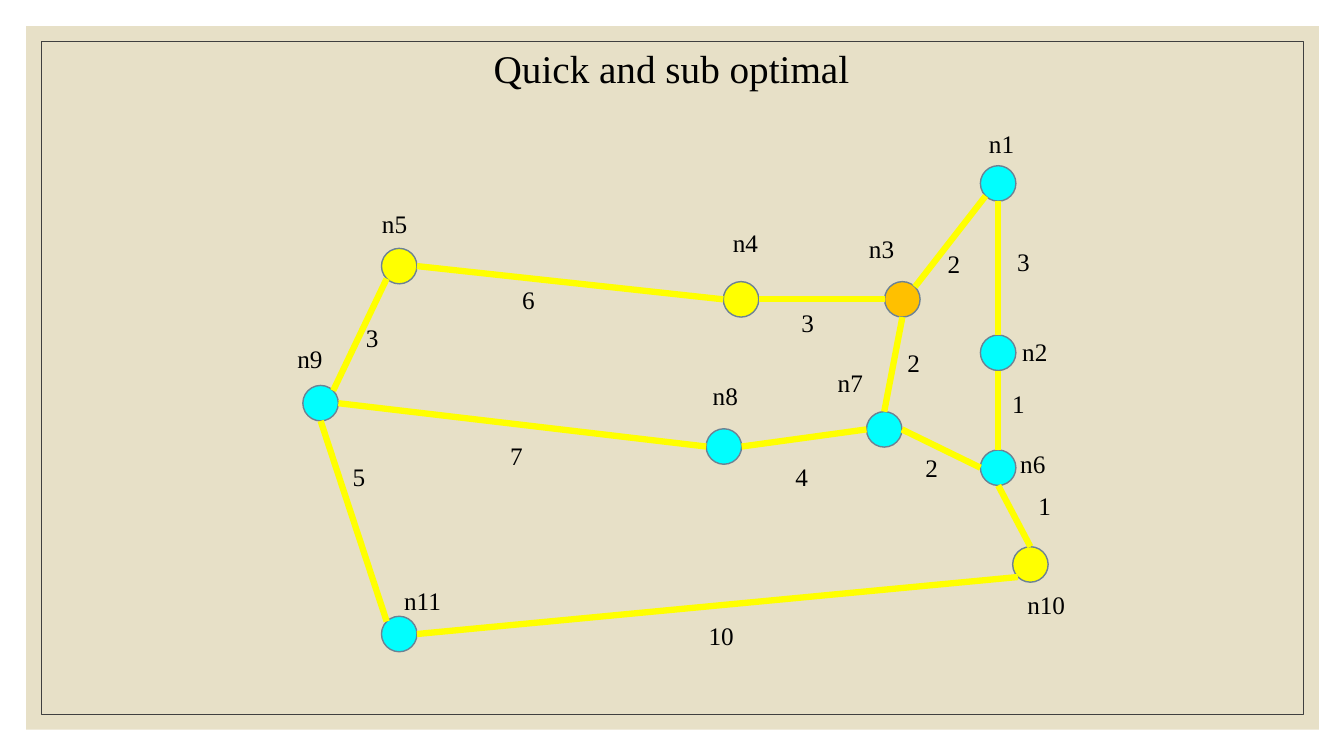
from math import sqrt

from lxml.etree import SubElement
from pptx import Presentation
from pptx.dml.color import RGBColor
from pptx.enum.shapes import MSO_CONNECTOR as Connector, MSO_SHAPE as Shape
from pptx.enum.text import MSO_ANCHOR as Anchor, PP_ALIGN as Align
from pptx.oxml.ns import qn
from pptx.util import Inches, Pt

FONT = "Times New Roman"
BLACK = RGBColor(0x00, 0x00, 0x00)
SAND = RGBColor(0xE7, 0xE0, 0xC7)
FRAME = RGBColor(0x40, 0x40, 0x40)
OUTLINE = RGBColor(0x6C, 0x82, 0x94)
CYAN = RGBColor(0x01, 0xFE, 0xFE)
YELLOW = RGBColor(0xFF, 0xFF, 0x00)
ORANGE = RGBColor(0xFF, 0xC0, 0x00)

# Grid: square cells, boxes are (column, row, columns, rows)
CELL = Inches(0.1)
PANEL_BOX = (2.6, 2.6, 128.2, 69.8)
TITLE_BOX = (42.1, 3.9, 49, 5.7)
GRAPH_BOX = (28, 12, 79, 54)
FRAME_INSET = 1.5
RADIUS = 1.76
LABEL_HEIGHT = 4

# Node: centre, fill, label corner, all in cells from the graph corner
NODES = {
    "n1": ((71, 6.2), CYAN, (69.1, 0.2)),
    "n2": ((71, 23), CYAN, (72.4, 20.9)),
    "n3": ((61.5, 17.7), ORANGE, (57.2, 10.7)),
    "n4": ((45.5, 17.7), YELLOW, (43.7, 10.1)),
    "n5": ((11.6, 14.4), YELLOW, (8.9, 8.2)),
    "n6": ((71, 34.4), CYAN, (72.2, 32)),
    "n7": ((59.7, 30.6), CYAN, (54.1, 23.9)),
    "n8": ((43.8, 32.3), CYAN, (41.7, 25.2)),
    "n9": ((3.8, 28), CYAN, (0.5, 21.6)),
    "n10": ((74.2, 44), YELLOW, (72.9, 46)),
    "n11": ((11.6, 50.9), CYAN, (11.1, 45.6)),
}

# Edge: node and side at each end, weight, weight corner
EDGES = [
    ("n1", "SW", "n3", "NE", "2", (65, 12.1)),
    ("n1", "S", "n2", "N", "3", (71.9, 11.9)),
    ("n10", "N", "n6", "S", "1", (74, 36.2)),
    ("n3", "W", "n4", "E", "3", (50.5, 18)),
    ("n4", "W", "n5", "E", "6", (22.8, 15.7)),
    ("n5", "SW", "n9", "NE", "3", (7.3, 19.5)),
    ("n9", "E", "n8", "W", "7", (21.6, 31.2)),
    ("n9", "S", "n11", "NW", "5", (6, 33.3)),
    ("n7", "N", "n3", "S", "2", (61, 22)),
    ("n8", "E", "n7", "W", "4", (49.9, 33.3)),
    ("n6", "W", "n7", "E", "2", (62.8, 32.4)),
    ("n2", "S", "n6", "N", "1", (71.4, 26)),
    ("n10", "SW", "n11", "E", "10", (41.3, 49.1)),
]


def cells(*counts):
    return [round(count * CELL) for count in counts]


def write_text(shape, text, size=18, align=Align.LEFT, color=BLACK):
    frame = shape.text_frame
    frame.word_wrap = True
    frame.vertical_anchor = Anchor.TOP
    paragraph = frame.paragraphs[0]
    paragraph.text = text
    paragraph.alignment = align
    paragraph.font.name = FONT
    paragraph.font.size = Pt(size)
    paragraph.font.color.rgb = color
    return frame


def add_figure(slide, kind, box, fill=None, line=None, width=1):
    shape = slide.shapes.add_shape(kind, *cells(*box))
    shape.shadow.inherit = False
    if fill is None:
        shape.fill.background()
    else:
        shape.fill.solid()
        shape.fill.fore_color.rgb = fill
    if line is None:
        shape.line.fill.background()
    else:
        shape.line.color.rgb = line
        shape.line.width = Pt(width)


def add_label(slide, text, column, row):
    width = 5.8 if len(text) == 3 else 4.5
    label = slide.shapes.add_textbox(*cells(column, row, width, LABEL_HEIGHT))
    write_text(label, text).margin_right = 0


def add_panel(slide, box):
    left, top, width, height = box
    add_figure(slide, Shape.RECTANGLE, box, fill=SAND)
    inner = (left + FRAME_INSET, top + FRAME_INSET,
             width - 2 * FRAME_INSET, height - 2 * FRAME_INSET)
    add_figure(slide, Shape.RECTANGLE, inner, line=FRAME, width=0.5)


def add_title(slide, box):
    title = slide.shapes.title
    title.left, title.top, title.width, title.height = cells(*box)
    write_text(title, "Quick and sub optimal", size=28, align=Align.CENTER)
    # Bring the title in front of the panel
    title.element.getparent().append(title.element)


def rim_point(name, side):
    """Point on a node's rim towards a compass side."""
    (x, y), _, _ = NODES[name]
    reach = RADIUS / sqrt(len(side))
    return (x + reach * (("E" in side) - ("W" in side)),
            y + reach * (("S" in side) - ("N" in side)))


def add_graph(slide, box):
    left, top = box[:2]
    # Nodes
    for (x, y), fill, _ in NODES.values():
        circle = (left + x - RADIUS, top + y - RADIUS, 2 * RADIUS, 2 * RADIUS)
        add_figure(slide, Shape.OVAL, circle, fill=fill, line=OUTLINE)
    # Edges
    for start, start_side, end, end_side, _, _ in EDGES:
        x1, y1 = rim_point(start, start_side)
        x2, y2 = rim_point(end, end_side)
        edge = slide.shapes.add_connector(
            Connector.STRAIGHT,
            *cells(left + x1, top + y1, left + x2, top + y2))
        edge.line.color.rgb = YELLOW
        edge.line.width = Pt(4.5)
        SubElement(edge.element.spPr, qn("a:effectLst"))
    # Node names and edge weights
    names = [(name, corner) for name, (_, _, corner) in NODES.items()]
    weights = [edge[-2:] for edge in EDGES]
    for text, (x, y) in names + weights:
        add_label(slide, text, left + x, top + y)


def main():
    presentation = Presentation()
    presentation.slide_width = Inches(13.33)
    presentation.slide_height = Inches(7.5)
    slide = presentation.slides.add_slide(presentation.slide_layouts[5])
    add_panel(slide, PANEL_BOX)
    add_title(slide, TITLE_BOX)
    add_graph(slide, GRAPH_BOX)
    presentation.save("out.pptx")


if __name__ == "__main__":
    main()
